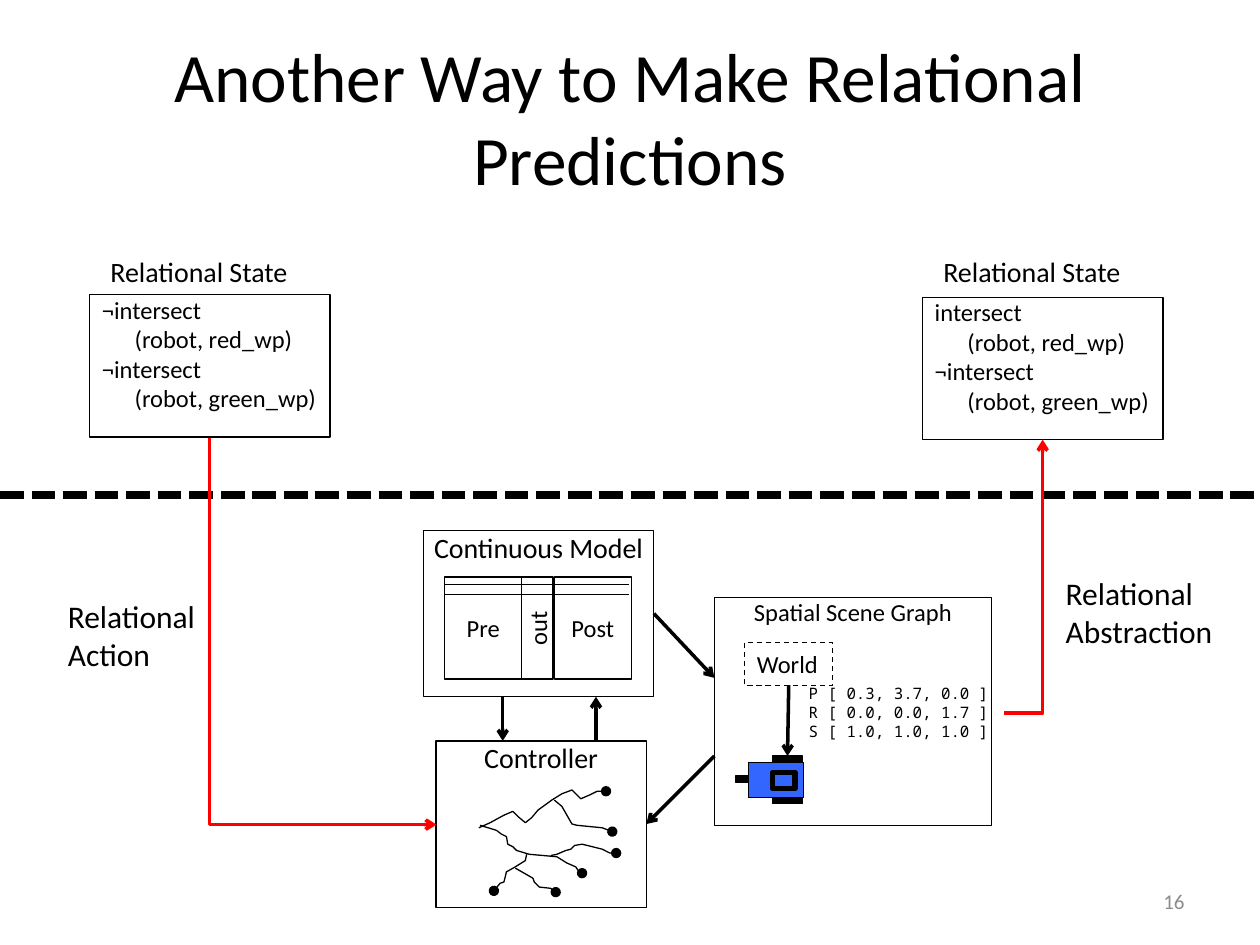
"""Build a slide on making relational predictions with a continuous model."""
from dataclasses import dataclass

from lxml import etree
from pptx import Presentation
from pptx.dml.color import RGBColor
from pptx.enum import dml, shapes, text
from pptx.oxml.ns import qn
from pptx.util import Inches, Pt


@dataclass(frozen=True)
class Theme:
    font: str = "Calibri"
    mono: str = "Noto Sans Mono"
    black: RGBColor = RGBColor(0, 0, 0)
    white: RGBColor = RGBColor(255, 255, 255)
    red: RGBColor = RGBColor(255, 0, 0)
    blue: RGBColor = RGBColor(0x33, 0x66, 0xFF)
    gray: RGBColor = RGBColor(0x8C, 0x8C, 0x8C)
    title: float = 39.6
    label: int = 18
    heading: int = 16
    body: int = 14
    number: int = 12
    code: int = 9
    thin: float = 0.75
    arrow: int = 2
    divider: float = 4.5


theme = Theme()
LEFT, CENTER, RIGHT = text.PP_ALIGN.LEFT, text.PP_ALIGN.CENTER, text.PP_ALIGN.RIGHT
TOP, MIDDLE = text.MSO_ANCHOR.TOP, text.MSO_ANCHOR.MIDDLE

presentation = Presentation()
presentation.slide_width, presentation.slide_height = Inches(10), Inches(7.5)
slide = presentation.slides.add_slide(presentation.slide_layouts[5])


def add_box(bounds, lines=(), size=theme.body, border=0, fill=None, align=LEFT, anchor=TOP,
            margins=(0.1, 0.05, 0.1, 0.05), wrap=True, font=theme.font, color=theme.black):
    position = [Inches(value) for value in bounds]
    if border:
        shape = slide.shapes.add_shape(shapes.MSO_SHAPE.RECTANGLE, *position)
        shape.shadow.inherit = False
        shape.line.color.rgb = theme.black
        shape.line.width = Pt(border)
        if fill is None:
            shape.fill.background()
        else:
            shape.fill.solid()
            shape.fill.fore_color.rgb = fill
    else:
        shape = slide.shapes.add_textbox(*position)
    frame = shape.text_frame
    frame.word_wrap = wrap
    frame.vertical_anchor = anchor
    frame.margin_left, frame.margin_top, frame.margin_right, frame.margin_bottom = map(Inches, margins)
    frame.text = "\n".join(lines)
    for paragraph in frame.paragraphs:
        paragraph.alignment = align
        paragraph.font.name = font
        paragraph.font.size = Pt(size)
        paragraph.font.color.rgb = color
    return shape


def style_line(shape, color=theme.black, width=theme.arrow, tail=None, dash=None):
    shape.line.color.rgb = color
    shape.line.width = Pt(width)
    if dash:
        shape.line.dash_style = dash
    properties = shape.element.spPr
    if tail:
        etree.SubElement(properties.find(qn("a:ln")), qn("a:tailEnd"), type=tail)
    etree.SubElement(properties, qn("a:effectLst"))


straight, elbow = shapes.MSO_CONNECTOR.STRAIGHT, shapes.MSO_CONNECTOR.ELBOW
divider = slide.shapes.add_connector(straight, 0, Inches(3.93), Inches(10), Inches(3.93))
style_line(divider, width=theme.divider, dash=dml.MSO_LINE.SQUARE_DOT)

title = slide.shapes.title
title.left, title.top, title.width, title.height = map(Inches, (0.5, 0.3, 9, 1.25))
title.text_frame.text = "Another Way to Make Relational Predictions"
title.text_frame.vertical_anchor = MIDDLE
title.text_frame.auto_size = text.MSO_AUTO_SIZE.NONE
title_paragraph = title.text_frame.paragraphs[0]
title_paragraph.alignment = CENTER
title_paragraph.font.name = theme.font
title_paragraph.font.size = Pt(theme.title)
title_paragraph.font.color.rgb = theme.black

panels = {}
for name, bounds, size in (
    ("Controller", (3.46, 5.88, 1.67, 1.32), theme.heading),
    ("Continuous Model", (3.36, 4.21, 1.83, 1.32), theme.heading),
    ("Spatial Scene Graph", (5.67, 4.74, 2.2, 1.81), theme.body),
):
    panels[name] = add_box(bounds, [name], size, theme.thin, theme.white, CENTER,
                           margins=(0, 0, 0, 0), wrap=False)
controller, model, scene = panels.values()

branches = (
    [(380, 657), (389, 653), (400, 647), (407, 644), (411, 648), (417, 653), (422, 649), (427, 643),
     (438, 635), (446, 630), (454, 627), (461, 634), (468, 631), (474, 628), (481, 628)],
    [(440, 635), (446, 640), (450, 647), (454, 654), (458, 655), (478, 657), (486, 660)],
    [(381, 655), (394, 659), (398, 662), (402, 664), (403, 670), (407, 672), (410, 675), (420, 678),
     (442, 680), (450, 685), (457, 688), (459, 691), (462, 693)],
    [(418, 678), (417, 683), (409, 688), (402, 692), (400, 700), (397, 701), (392, 707)],
    [(409, 689), (416, 693), (423, 697), (424, 700), (428, 704), (437, 705), (441, 708)],
    [(437, 679), (442, 678), (449, 675), (453, 674), (456, 671), (462, 670), (470, 672), (478, 674),
     (484, 677), (489, 677)],
)
for start, *points in branches:
    builder = slide.shapes.build_freeform(*start, scale=Inches(0.01))
    builder.add_line_segments(points, close=False)
    branch = builder.convert_to_shape()
    branch.fill.background()
    style_line(branch, width=theme.thin, tail="oval")

for name, left, width in (("Pre", 3.53, 0.61), ("out", 4.14, 0.25), ("Post", 4.4, 0.61)):
    cell = add_box((left, 4.58, width, 0.81), [name], border=theme.thin, fill=theme.white,
                   align=CENTER, anchor=MIDDLE)
    if name == "out":
        cell.text_frame._txBody.bodyPr.set("vert", "vert270")
for y in (4.64, 4.72):
    rule = slide.shapes.add_connector(straight, Inches(3.53), Inches(y), Inches(4.99), Inches(y))
    style_line(rule, width=theme.thin)

world = add_box((5.91, 5.1, 0.7, 0.34), ["World"], border=theme.thin)
world.line.dash_style = dml.MSO_LINE.DASH
add_box((6.32, 5.38, 1.64, 0.56), ["P [ 0.3, 3.7, 0.0 ]", "R [ 0.0, 0.0, 1.7 ]", "S [ 1.0, 1.0, 1.0 ]"],
        theme.code, wrap=False, font=theme.mono)
for bounds, fill, border in (
    ((5.84, 6.16, 0.17, 0.05), theme.black, theme.thin),
    ((5.94, 6.05, 0.44, 0.28), theme.blue, theme.thin),
    ((6.13, 6.13, 0.18, 0.13), theme.blue, 3),
    ((6.13, 6.33, 0.24, 0.05), theme.black, theme.thin),
    ((6.13, 6, 0.24, 0.05), theme.black, theme.thin),
):
    add_box(bounds, border=border, fill=fill)

states = []
for left, top, first in ((0.71, 2.34, "¬intersect"), (7.32, 2.36, "intersect")):
    state = add_box((left, top, 1.91, 1.13),
                    [first, "\t(robot, red_wp)", "¬intersect", "\t(robot, green_wp)"],
                    border=theme.thin, margins=(0.1, 0, 0, 0), wrap=False)
    for paragraph in state.text_frame.paragraphs:
        indent = paragraph._p.get_or_add_pPr()
        indent.set("marL", str(Inches(0.26)))
        indent.set("indent", str(-Inches(0.26)))
    states.append(state)
    add_box((left, 1.97, 1.74, 0.37), ["Relational State"], theme.heading, align=CENTER)
before, after = states

for start, end, source, target in (
    ((3.99, 5.53), (3.99, 5.88), None, None),
    ((4.73, 5.88), (4.73, 5.53), None, None),
    ((6.26, 5.44), (6.25, 6), (world, 2), None),
    ((5.67, 6), (5.13, 6.54), None, (controller, 3)),
    ((5.19, 4.87), (5.67, 5.38), (model, 3), None),
):
    arrow = slide.shapes.add_connector(straight, *map(Inches, start + end))
    if source:
        arrow.begin_connect(*source)
    if target:
        arrow.end_connect(*target)
    style_line(arrow, tail="arrow")

action = slide.shapes.add_connector(elbow, *map(Inches, (4.1, 4.11, 1.03, 5.91)))
action.element.spPr.xfrm.set("rot", str(270 * 60000))
abstraction = slide.shapes.add_connector(elbow, *map(Inches, (7.97, 5.66, 8.27, 3.49)))
abstraction.end_connect(after, 2)
for route in (action, abstraction):
    route.element.spPr.find(qn("a:prstGeom")).set("prst", "bentConnector2")
    style_line(route, theme.red, tail="arrow")

for bounds, word in (((0.44, 4.69, 1.23, 0.71), "Action"), ((8.36, 4.51, 1.39, 0.71), "Abstraction")):
    add_box(bounds, ["Relational", word], theme.label, wrap=False)
add_box((7.17, 6.95, 2.33, 0.4), ["16"], theme.number, align=RIGHT, anchor=MIDDLE, color=theme.gray)

presentation.save("out.pptx")
